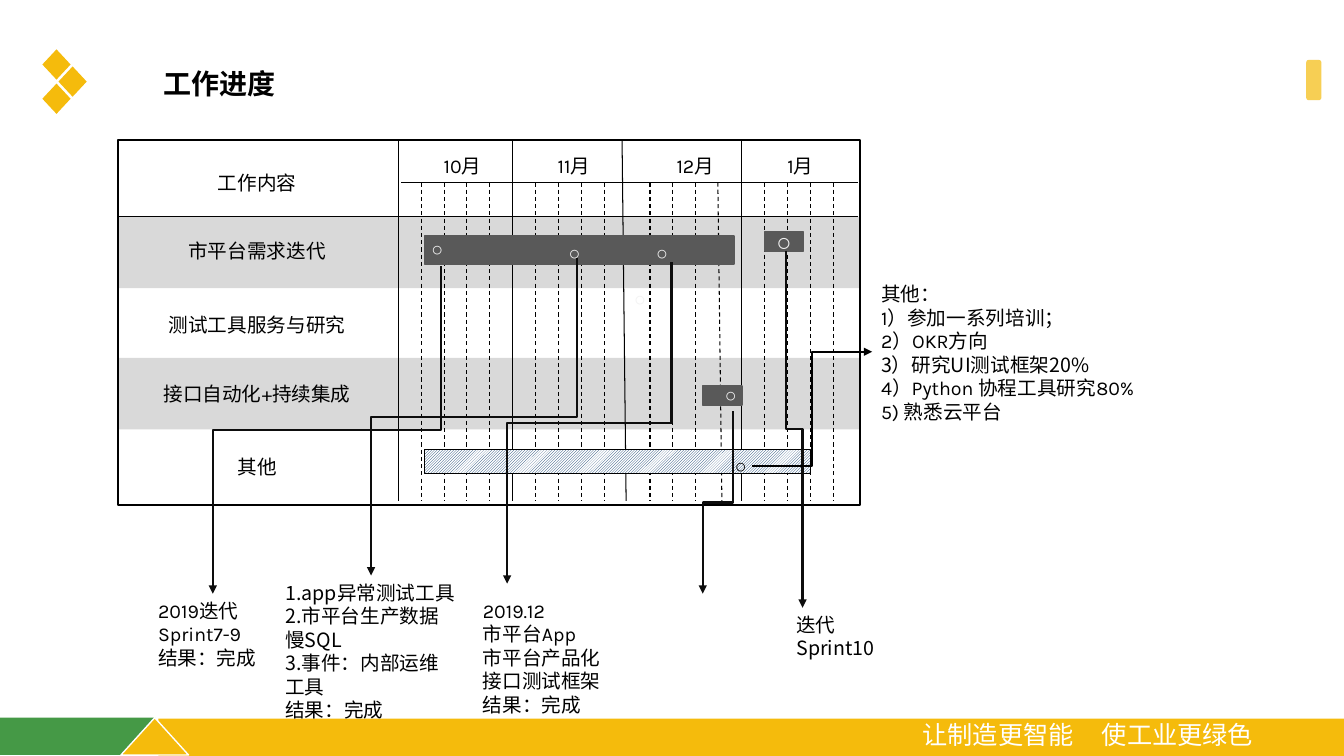
from lxml.etree import SubElement
from pptx import Presentation
from pptx.dml.color import RGBColor
from pptx.enum.dml import MSO_LINE as Dash, MSO_PATTERN as Pattern
from pptx.enum.shapes import MSO_CONNECTOR as Link, MSO_SHAPE as Kind
from pptx.enum.text import MSO_ANCHOR as Anchor, MSO_AUTO_SIZE as Auto, PP_ALIGN as Align
from pptx.oxml.ns import qn
from pptx.util import Inches, Pt

CJK = "Noto Sans CJK SC"
GOLD, GREEN, BAND, DARK = "F5BB0C", "459946", "D9D9D9", "595959"
BLACK, INK, PALE, WHITE = "000000", "0D0D0D", "F2F2F2", "FFFFFF"


def color(code):
    return RGBColor.from_string(code)


def add_run(para, text, font="Karla", size=14, code=BLACK, bold=False):
    run = para.add_run()
    run.text = text
    run.font.name = font
    run.font.size = Pt(size)
    run.font.bold = bold
    run.font.color.rgb = color(code)
    east = SubElement(run.font._element, qn("a:ea"))
    east.set("typeface", font if font == "Arial" else CJK)


def add_box(slide, kind, spot, fill=None, line=None, width=1, turn=0):
    box = slide.shapes.add_shape(kind, *map(Inches, spot))
    box.shadow.inherit = False
    box.rotation = turn
    if fill:
        box.fill.solid()
        box.fill.fore_color.rgb = color(fill)
    else:
        box.fill.background()
    if line:
        box.line.color.rgb = color(line)
        box.line.width = Pt(width)
    else:
        box.line.fill.background()
    return box


def add_text(slide, spot, lines, align=None, **style):
    frame = slide.shapes.add_textbox(*map(Inches, spot)).text_frame
    frame.word_wrap = True
    frame.auto_size = Auto.SHAPE_TO_FIT_TEXT
    for i, line in enumerate(lines):
        para = frame.paragraphs[0] if i == 0 else frame.add_paragraph()
        para.alignment = align
        for text, font in [line] if isinstance(line, tuple) else [(line, None)]:
            add_run(para, text, **(style | ({"font": font} if font else {})))
    return frame


def add_line(slide, ends, kind=Link.STRAIGHT, code=BLACK, width=0.75, dash=False):
    line = slide.shapes.add_connector(kind, *map(Inches, ends))
    line.line.color.rgb = color(code)
    line.line.width = Pt(width)
    if dash:
        line.line.dash_style = Dash.DASH
    SubElement(line._element.spPr, qn("a:effectLst"))
    return line


def add_arrow(slide, x1, y1, x2, y2, down=True):
    ends = x1, y1, x2, y2
    if down:
        mid_x, mid_y = (x1 + x2) / 2, (y1 + y2) / 2
        run, rise = (y2 - y1) / 2, (x1 - x2) / 2
        ends = mid_x - run, mid_y - rise, mid_x + run, mid_y + rise
    arrow = add_line(slide, ends, Link.ELBOW, INK if down else BLACK, 1.5)
    if down:
        arrow._element.spPr.find(qn("a:xfrm")).set("rot", "5400000")
    SubElement(arrow.line._get_or_add_ln(), qn("a:tailEnd")).set("type", "triangle")


def add_frame(slide):
    tab = add_box(slide, Kind.ROUNDED_RECTANGLE, (12.83, 0.72, 0.4, 0.15), GOLD, turn=90)
    tint = tab._element.spPr.find(qn("a:solidFill"))[0]
    SubElement(tint, qn("a:alpha")).set("val", "70000")
    for i, left in enumerate((0.41, 0.57, 0.41)):
        add_box(slide, Kind.FLOWCHART_DECISION, (left, 0.5 + 0.17 * i, 0.3, 0.28), GOLD, turn=90)
    add_box(slide, Kind.RECTANGLE, (0, 7.12, 1.54, 0.37), GREEN)
    add_box(slide, Kind.RECTANGLE, (1.57, 7.13, 11.76, 0.37), GOLD)
    add_box(slide, Kind.FLOWCHART_EXTRACT, (1.2, 7.12, 0.67, 0.37), GOLD, WHITE)
    for left, text in ((9.05, "让制造更智能"), (10.83, "使工业更绿色")):
        add_text(slide, (left, 7.09, 1.78, 0.4), [text], font=CJK, size=18, code=WHITE)


def add_title(slide):
    title = slide.shapes.title
    title.left, title.top, title.width, title.height = map(Inches, (1.39, 0.4, 11.03, 0.89))
    frame = title.text_frame
    frame.vertical_anchor = Anchor.MIDDLE
    frame.margin_left = Inches(0.23)
    para = frame.paragraphs[0]
    para.alignment = Align.LEFT
    para.line_spacing = 0.9
    add_run(para, "工作进度", CJK, 20, bold=True)


def add_grid(slide):
    for top in (3.55, 2.15):
        add_box(slide, Kind.RECTANGLE, (1.17, top, 7.35, 0.71), BAND)
    slant = {10: (6.17, 6.21), 14: (7.12, 7.16)}
    for week in range(20):
        left = 3.95 + 0.227 * week
        start, end = slant.get(week, (left, left))
        weak = week % 5 > 0
        add_line(slide, (start, 1.81 if weak else 1.39, end, 4.97), dash=weak)
    add_line(slide, (1.17, 2.15, 8.51, 2.15))
    add_line(slide, (3.98, 1.81, 8.51, 1.81))
    add_box(slide, Kind.RECTANGLE, (1.17, 1.39, 7.36, 3.62), line=BLACK, width=1.5)
    for left, month in ((3.9, "10月"), (5.03, "11月"), (6.21, "12月"), (7.31, "1月")):
        frame = add_text(slide, (left, 1.49, 1.18, 0.24), [month])
        frame.auto_size = Auto.NONE
        frame.margin_left = Inches(0.5)
        frame.margin_top = frame.margin_right = frame.margin_bottom = 0
        frame.paragraphs[0].line_spacing = 1.15
        frame.paragraphs[0].space_before = Pt(2.8)
    tasks = ((1.65, "工作内容"), (2.32, "市平台需求迭代"), (3.06, "测试工具服务与研究"),
             (3.74, "接口自动化+持续集成"), (4.46, "其他"))
    for top, task in tasks:
        add_text(slide, (1.5, top, 2.1, 0.34), [task], Align.CENTER)


def add_bars(slide):
    other = add_box(slide, Kind.RECTANGLE, (4.21, 4.46, 3.83, 0.24), WHITE, BLACK, 0.75)
    other.fill.patterned()
    other.fill.pattern = Pattern.DARK_UPWARD_DIAGONAL
    other.fill.fore_color.rgb = color("003366")
    other.fill.back_color.rgb = color(WHITE)
    for spot in ((4.21, 2.34, 3.07, 0.28), (6.97, 3.83, 0.39, 0.19)):
        add_box(slide, Kind.RECTANGLE, spot, DARK, DARK)
    sprint = add_box(slide, Kind.RECTANGLE, (7.58, 2.3, 0.39, 0.19), DARK, DARK)
    sprint.text_frame.vertical_anchor = Anchor.MIDDLE
    para = sprint.text_frame.paragraphs[0]
    para.alignment = Align.CENTER
    add_run(para, "○", "Arial", 18, PALE, True)
    dots = ((4.18, 2.3, PALE, False), (5.54, 2.34, PALE, True), (6.41, 2.34, PALE, True),
            (6.19, 2.8, PALE, True), (7.09, 3.75, PALE, True), (7.19, 4.45, BLACK, True))
    for left, top, code, bold in dots:
        add_text(slide, (left, top, 0.38, 0.33), ["○"], font="Arial", code=code, bold=bold)


def add_notes(slide):
    arrows = ((4.37, 2.64, 2.11, 5.89), (6.66, 2.6, 5.03, 5.79), (7.27, 4.08, 6.97, 5.89),
              (5.72, 2.56, 3.68, 5.71), (7.8, 2.49, 7.96, 6.03))
    for ends in arrows:
        add_arrow(slide, *ends)
    add_arrow(slide, 7.46, 4.62, 8.65, 3.49, down=False)
    add_text(slide, (1.47, 5.89, 1.43, 0.81), ["2019迭代Sprint7-9", "结果：完成"])
    add_text(slide, (2.73, 5.71, 1.89, 1.75),
             ["1.app异常测试工具", "2.市平台生产数据慢SQL", "3.事件：内部运维工具", "结果：完成"],
             font=CJK)
    add_text(slide, (4.69, 5.89, 2.28, 1.28),
             ["2019.12", "市平台App", "市平台产品化", "接口测试框架", "结果：完成"])
    add_text(slide, (7.8, 6.03, 1.38, 0.57), ["迭代", "Sprint10"], font=CJK)
    add_text(slide, (8.64, 2.75, 4.58, 1.51),
             ["其他：", "1）参加一系列培训；", "2）OKR方向", ("3）研究UI测试框架20%", CJK),
              "4）Python 协程工具研究80%", "5) 熟悉云平台"])


def main():
    deck = Presentation()
    deck.slide_width, deck.slide_height = Inches(13.33), Inches(7.5)
    slide = deck.slides.add_slide(deck.slide_layouts[5])
    add_frame(slide)
    add_title(slide)
    add_grid(slide)
    add_bars(slide)
    add_notes(slide)
    deck.save("out.pptx")


if __name__ == "__main__":
    main()
